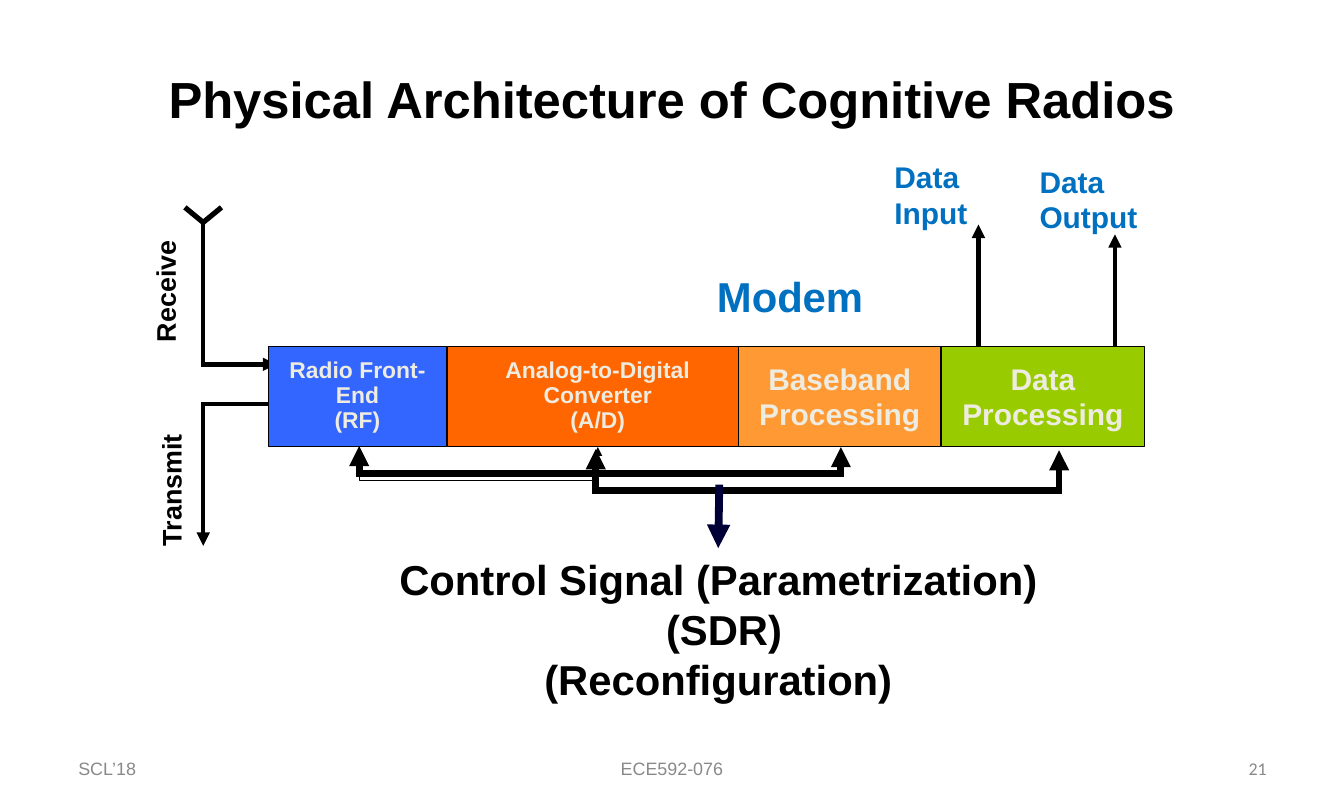
from pptx import Presentation
from pptx.util import Inches, Pt
from pptx.dml.color import RGBColor as RGB
from pptx.enum.shapes import MSO_SHAPE as Shape, MSO_CONNECTOR as Conn
from pptx.enum.text import PP_ALIGN as Align, MSO_ANCHOR as Anchor
from pptx.oxml.ns import qn
from lxml.etree import SubElement as sub

BLACK = RGB(0, 0, 0)
GREY = RGB(0x89, 0x89, 0x89)
BLUE = RGB(0, 0x70, 0xC0)
CREAM = RGB(0xEE, 0xEC, 0xE1)
NAVY = RGB(0, 0, 0x36)
ROYAL = RGB(0x33, 0x66, 0xFF)
ORANGE = RGB(0xFF, 0x66, 0)
AMBER = RGB(0xFF, 0x99, 0x33)
GREEN = RGB(0x99, 0xCC, 0)

WIDE, HIGH = 12.5, 7.5
ROW, DEEP = 3.22, 0.93          # top and height of the block row
BASE = ROW + DEEP
FOOT = (6.95, 0.4)              # top and height of the footer
MAST, PORT = 1.89, 2.5          # antenna mast, left edge of the row
INNER = ROW + 0.04              # where data wires start inside the row
STEP = 0.01                     # rise between the two ends of a bracket
LEFT, MID, RIGHT = Align.LEFT, Align.CENTER, Align.RIGHT

# Blocks: lines, left, width, fill, size, line spacing
BLOCKS = [
    (["Radio Front-End", "(RF)"], PORT, 1.65, ROYAL, 15.3, 0.9),
    (["Analog-to-Digital Converter", "(A/D)"], 4.16, 2.8, ORANGE, 15.3, 0.9),
    (["Baseband Processing"], 6.87, 1.88, AMBER, 20, 1),
    (["Data Processing"], 8.76, 1.88, GREEN, 20, 1),
]

# Labels: lines, left, top, width, height, size, colour, alignment, turn
LABELS = [
    (["Physical Architecture of Cognitive Radios"],
     0.05 * WIDE, 0.51, 0.9 * WIDE, 0.8, 34, BLACK, MID, 0),
    (["Receive"], 0.59, 2.51, 1.89, 0.4, 18, BLACK, MID, 270),
    (["Transmit"], 0.59, 4.36, 2, 0.4, 18, BLACK, MID, 270),
    (["Control Signal (Parametrization)", " (SDR)", "(Reconfiguration)"],
     3.24, 5.1, 6.88, 1.5, 28, BLACK, MID, 0),
    (["Modem"], 6.57, 2.47, 2.31, 0.57, 28, BLUE, LEFT, 0),
    (["Data", "Input"], 8.22, 1.43, 1.63, 0.77, 20, BLUE, LEFT, 0),
    (["Data", "Output"], 9.57, 1.47, 1.86, 0.77, 20, BLUE, LEFT, 0),
]

# Footer: text, left, width, font, alignment
FOOTER = [
    ("SCL’18", 0.63, 2.92, "Arial", LEFT),
    ("ECE592-076", 4.27, 3.96, "Arial", MID),
    ("21", 8.96, 2.92, "Calibri", RIGHT),
]

# Wires: points, width, arrowheads
WIRES = [
    ([(1.72, 1.93), (MAST, 2.07), (2.06, 1.93)], 3.5, ()),
    ([(MAST, 2.07), (MAST, 3.39), (2.57, 3.39)], 3, ("tail",)),
    ([(MAST, 5.08), (MAST, 3.76), (2.57, 3.76)], 3, ("head",)),
    ([(9.1, 2.09), (9.1, INNER), (8.52, INNER)], 3, ("head",)),
    ([(10.37, 2.18), (10.37, INNER), (9.52, INNER)], 3, ("head",)),
]

# Brackets: left, right, top, low, width, arrowheads
INNERS = [
    (3.34, 7.82, BASE, 4.41, 4.5, ("head", "tail")),
    (3.34, 5.56, BASE, 4.47, 0.25, ("tail",)),
]
OUTER = (5.54, 9.85, 4.18, 4.57, 4.5, ("head", "tail"))

deck = Presentation()
deck.slide_width, deck.slide_height = Inches(WIDE), Inches(HIGH)
slide = deck.slides.add_slide(deck.slide_layouts[6])
shapes = slide.shapes


def write(box, lines, size, tint, align, font="Arial", bold=True, gap=1):
    frame = box.text_frame
    frame.word_wrap = True
    for n, line in enumerate(lines):
        para = frame.add_paragraph() if n else frame.paragraphs[0]
        para.alignment, para.line_spacing = align, gap
        run = para.add_run()
        run.text = line
        run.font.size, run.font.name, run.font.bold = Pt(size), font, bold
        run.font.color.rgb = tint


def stroke(item, tint, width, ends):
    item.line.color.rgb, item.line.width = tint, Pt(width)
    line = item.line._get_or_add_ln()
    sub(line, qn("a:miter"), lim="800000")
    for end in ends:
        sub(line, qn(f"a:{end}End"), type="triangle")


def wire(points, width, ends):
    first, *rest = [(Inches(x), Inches(y)) for x, y in points]
    pen = shapes.build_freeform(*first)
    pen.add_line_segments(rest, close=False)
    path = pen.convert_to_shape()
    path.shadow.inherit = False
    path.fill.background()
    stroke(path, BLACK, width, ends)


def link(kind, ends, tint, width, heads):
    line = shapes.add_connector(kind, *map(Inches, ends))
    stroke(line, tint, width, heads)
    sub(line._element.spPr, qn("a:effectLst"))
    return line._element.spPr


def loop(left, right, top, low, width, heads):
    """An elbow turned a quarter, hanging below the row."""
    x, y = (left + right) / 2, top + STEP / 2
    half = (right - left) / 2
    ends = (x + STEP / 2, y - half, x - STEP / 2, y + half)
    props = link(Conn.ELBOW, ends, BLACK, width, heads)
    props.find(qn("a:xfrm")).set("rot", str(270 * 60000))
    geom = props.find(qn("a:prstGeom"))
    guides = geom.find(qn("a:avLst"))
    if guides is None:
        guides = sub(geom, qn("a:avLst"))
    drop = round((low - top) / STEP * 100000)
    sub(guides, qn("a:gd"), name="adj1", fmla=f"val {drop}")


def label(lines, x, y, w, h, size, tint, align, turn=0, **style):
    box = shapes.add_textbox(*map(Inches, (x, y, w, h)))
    box.rotation = turn
    # One-line labels sit in the middle, stacked ones start at the top
    one = len(lines) == 1
    box.text_frame.vertical_anchor = Anchor.MIDDLE if one else Anchor.TOP
    write(box, lines, size, tint, align, **style)


# Wires and brackets behind the blocks
for item in WIRES:
    wire(*item)
for item in INNERS:
    loop(*item)

# Title, labels and footer
for item in LABELS:
    label(*item)
for text, x, w, font, align in FOOTER:
    label([text], x, FOOT[0], w, FOOT[1], 12, GREY, align,
          font=font, bold=False)

# Block row
for lines, x, w, fill, size, gap in BLOCKS:
    block = shapes.add_shape(Shape.RECTANGLE, *map(Inches, (x, ROW, w, DEEP)))
    block.shadow.inherit = False
    block.fill.solid()
    block.fill.fore_color.rgb = fill
    block.line.color.rgb, block.line.width = BLACK, Pt(0.5)
    block.text_frame.vertical_anchor = Anchor.MIDDLE
    write(block, lines, size, CREAM, MID, gap=gap)

# Outer bracket and control arrow
loop(*OUTER)
link(Conn.STRAIGHT, (6.69, 4.51, 6.68, 5.1), NAVY, 5.25, ("tail",))

deck.save("out.pptx")
